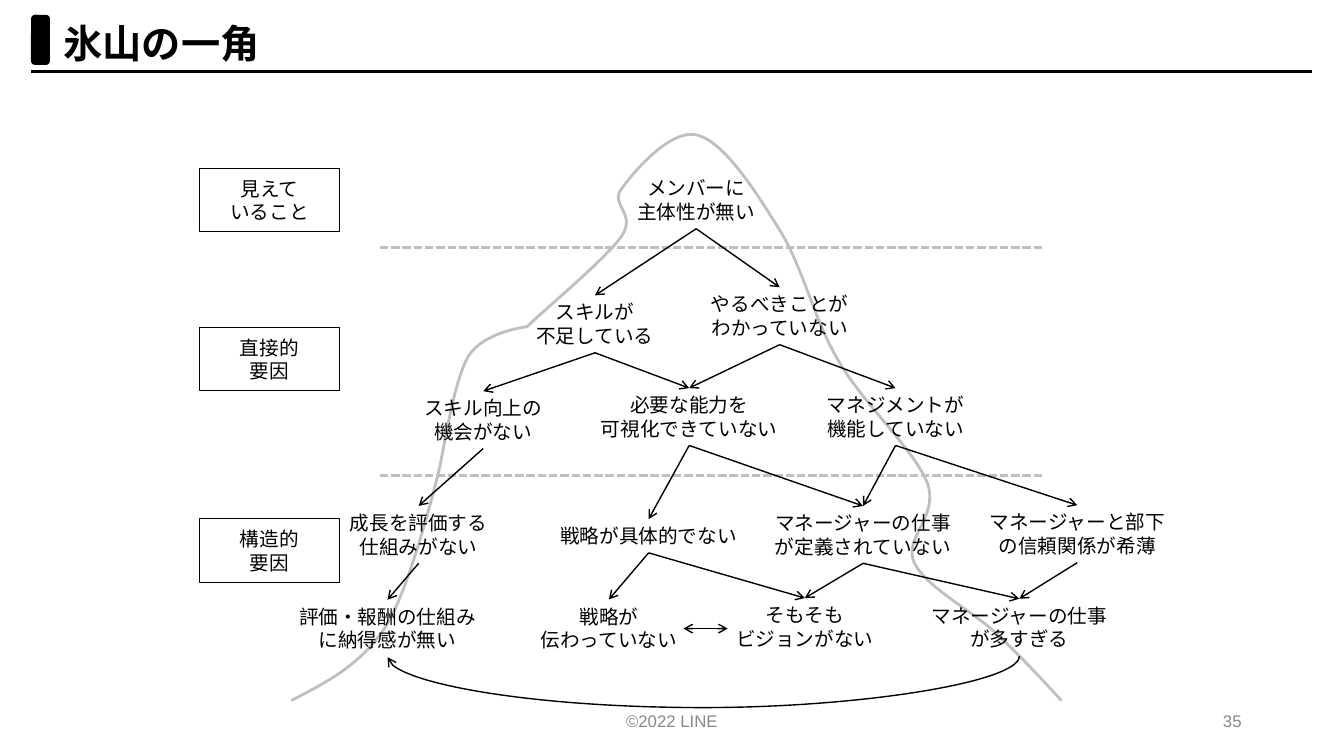
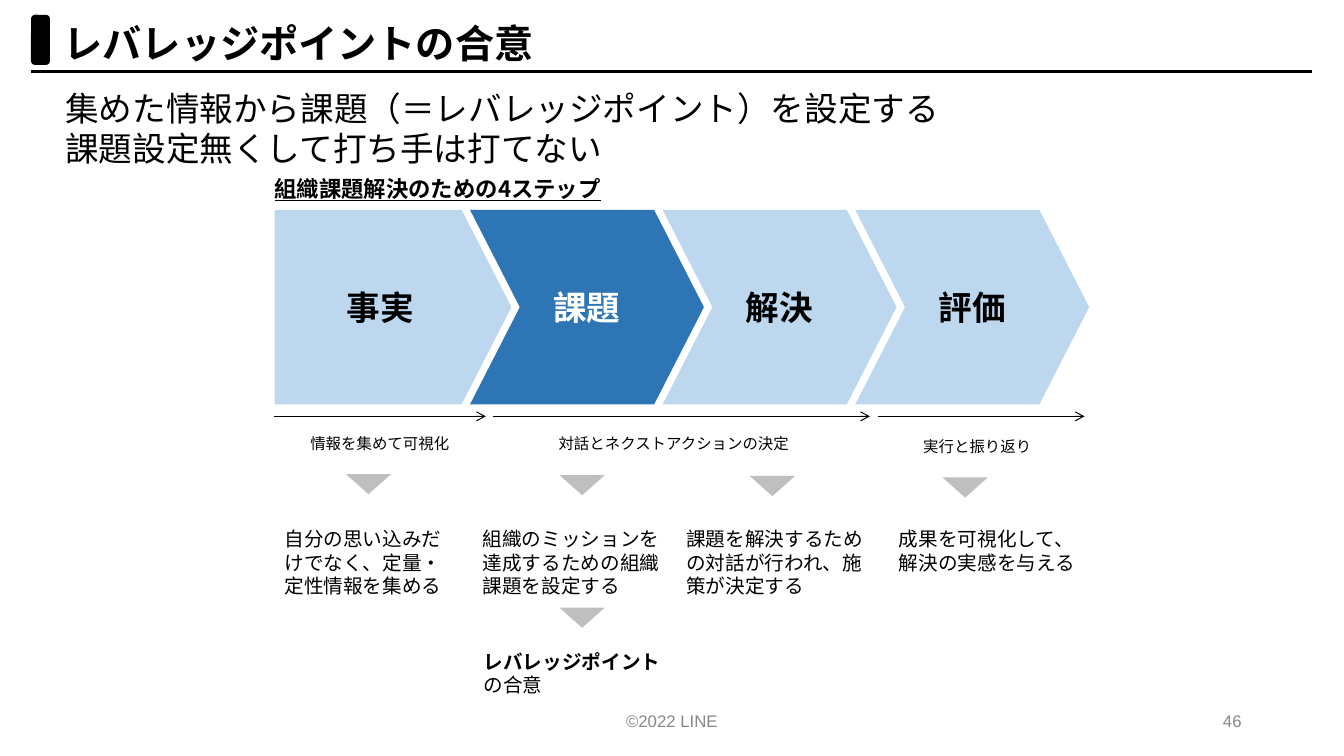
from dataclasses import dataclass, replace
from math import ceil

from lxml.etree import SubElement
from pptx import Presentation
from pptx.dml.color import RGBColor
from pptx.enum.dml import MSO_LINE_DASH_STYLE as Dash
from pptx.enum.shapes import MSO_CONNECTOR as Link, MSO_SHAPE as Shape
from pptx.enum.text import MSO_ANCHOR as Anchor, MSO_AUTO_SIZE as AutoSize, PP_ALIGN as Align
from pptx.oxml.ns import qn
from pptx.util import Pt


@dataclass(frozen=True)
class Style:
    size: float
    color: str = "000000"
    bold: bool = False
    underline: bool = False
    font: str = "Noto Sans CJK JP"


@dataclass(frozen=True)
class Theme:
    black: str = "000000"
    grey: str = "BFBFBF"
    pale_blue: str = "BDD7EE"
    blue: str = "2E75B6"
    title: Style = Style(28, bold=True)
    lead: Style = Style(24)
    stage: Style = Style(24, bold=True)
    active_stage: Style = Style(24, "FFFFFF", bold=True)
    heading: Style = Style(16, bold=True, underline=True)
    body: Style = Style(14)
    caption: Style = Style(11)
    footer: Style = Style(12, "888888", font="Arial")


THEME = Theme()
STRONG = replace(THEME.body, bold=True)

FACTORS = {
    "passive": (497.3, 122.4, ["メンバーに", "主体性が無い"]),
    "skill": (425, 211, ["スキルが", "不足している"]),
    "unclear": (556.9, 205.2, ["やるべきことが", "わかっていない"]),
    "growth": (345.2, 279.4, ["スキル向上の", "機会がない"]),
    "ability": (492.3, 277.2, ["必要な能力を", "可視化できていない"]),
    "management": (639.7, 277.2, ["マネジメントが", "機能していない"]),
    "appraisal": (299, 361.4, ["成長を評価する", "仕組みがない"]),
    "strategy": (463.3, 370.8, ["戦略が具体的でない"]),
    "role": (616.5, 361.4, ["マネージャーの仕事が定義されていない"]),
    "trust": (769.5, 360.9, ["マネージャーと部下の信頼関係が希薄"]),
    "reward": (276.8, 428.4, ["評価・報酬の仕組みに納得感が無い"]),
    "message": (435, 428.2, ["戦略が", "伝わっていない"]),
    "vision": (574.9, 427.2, ["そもそも", "ビジョンがない"]),
    "overload": (728.1, 427.7, ["マネージャーの仕事が多すぎる"]),
}
CAUSES = {
    "passive": ["skill", "unclear"],
    "skill": ["growth", "ability"],
    "unclear": ["ability", "management"],
    "growth": ["appraisal"],
    "ability": ["strategy", "role"],
    "management": ["role", "trust"],
    "appraisal": ["reward"],
    "strategy": ["message", "vision"],
    "role": ["vision", "overload"],
    "trust": ["overload"],
}
LEVELS = [
    (120.2, ["見えて", "いること"]),
    (233.8, ["直接的", "要因"]),
    (370.5, ["構造的", "要因"]),
]
ICEBERG_START = (208, 500.4)
ICEBERG_CORNERS = [(208, 95.8), (758.2, 500.4)]
ICEBERG_CURVES = [
    ((233.3, 487.4), (258.5, 474.5), (275.8, 447.1)),
    ((293, 420.5), (313.2, 337.7), (313.2, 337.7)),
    ((316.8, 323.3), (324, 271.4), (334.8, 254.2)),
    ((345.6, 236.9), (376.6, 233.3), (376.6, 233.3)),
    ((387.4, 222.5), (432.7, 185), (444.2, 168.5)),
    ((455, 151.9), (434.9, 146.2), (444.2, 134.6)),
    ((452.9, 122.4), (479.5, 91.4), (498.2, 96.5)),
    ((517.7, 101.5), (540.7, 138.2), (557.3, 164.9)),
    ((573.8, 191.5), (581, 227.5), (599, 257.8)),
    ((616.3, 288), (653, 321.1), (662.4, 344.9)),
    ((671, 369.4), (645.1, 383.8), (653, 401.8)),
    ((661.7, 419.8), (694.8, 436.3), (712.1, 452.9)),
    ((730.1, 469.4), (758.2, 500.4), (758.2, 500.4)),
]
STAGES = ["事実", "課題", "解決", "評価"]
PHASES = [
    (196, 347, 196.1, 306.7, 150.5, "情報を集めて可視化"),
    (352.1, 621.4, 384.5, 306.7, 193.7, "対話とネクストアクションの決定"),
    (627.1, 774.7, 621.4, 308.9, 153.4, "実行と振り返り"),
]
ACTIONS = [
    (196.1, 139.7, "自分の思い込みだけでなく、定量・定性情報を集める"),
    (337.7, 144, "組織のミッションを達成するための組織課題を設定する"),
    (483.1, 149, "課題を解決するための対話が行われ、施策が決定する"),
    (635, 146.2, "成果を可視化して、解決の実感を与える"),
]
POINTERS = [(247, 338.6), (399.6, 339.3), (535.5, 340), (673.2, 341), (399.6, 434)]


def rgb(color):
    return RGBColor.from_string(color)


def points(*lengths):
    return [Pt(length) for length in lengths]


def add_run(paragraph, text, style):
    run = paragraph.add_run()
    run.text = text
    font = run.font
    font.size = Pt(style.size)
    font.bold = style.bold
    font.underline = style.underline
    font.color.rgb = rgb(style.color)
    font.name = style.font
    SubElement(font._element, qn("a:ea")).set("typeface", style.font)


def write(frame, paragraphs, align, anchor):
    frame.word_wrap = True
    frame.vertical_anchor = anchor
    for index, runs in enumerate(paragraphs):
        paragraph = frame.add_paragraph() if index else frame.paragraphs[0]
        paragraph.alignment = align
        for text, style in runs:
            add_run(paragraph, text, style)


def plain(lines, style):
    return [[(line, style)] for line in lines]


def add_text(slide, box, paragraphs, align=Align.LEFT, anchor=Anchor.TOP):
    frame = slide.shapes.add_textbox(*points(*box)).text_frame
    write(frame, paragraphs, align, anchor)
    if anchor == Anchor.TOP:
        frame.auto_size = AutoSize.SHAPE_TO_FIT_TEXT


def add_block(slide, preset, box, fill=None, line=None, width=0.75, paragraphs=()):
    block = slide.shapes.add_shape(preset, *points(*box))
    block.shadow.inherit = False
    if fill:
        block.fill.solid()
        block.fill.fore_color.rgb = rgb(fill)
    else:
        block.fill.background()
    if line:
        block.line.color.rgb = rgb(line)
        block.line.width = Pt(width)
    else:
        block.line.fill.background()
    write(block.text_frame, paragraphs, Align.CENTER, Anchor.MIDDLE)
    return block


def add_line(slide, start, end, color=THEME.black, width=1, dash=None, ends=(), kind=Link.STRAIGHT):
    line = slide.shapes.add_connector(kind, *points(*start, *end))
    line.line.color.rgb = rgb(color)
    line.line.width = Pt(width)
    if dash:
        line.line.dash_style = dash
    for side in ends:
        SubElement(line.line._get_or_add_ln(), qn(f"a:{side}")).set("type", "arrow")
    SubElement(line._element.spPr, qn("a:effectLst"))
    return line


def add_arrow(slide, start, end, width=1):
    add_line(slide, start, end, width=width, ends=["tailEnd"])


def add_loop(slide, left, right, top, depth):
    rise = 0.72
    middle, half = (left + right) / 2, (right - left) / 2
    loop = add_line(slide, (middle + rise / 2, top + half), (middle - rise / 2, top - half),
                    ends=["headEnd"], kind=Link.CURVE)
    properties = loop._element.spPr
    properties.find(qn("a:xfrm")).set("rot", str(90 * 60000))
    bend = SubElement(properties.find(qn("a:prstGeom")).find(qn("a:avLst")), qn("a:gd"))
    bend.set("name", "adj1")
    bend.set("fmla", f"val {round(-depth / rise * 100000)}")


def add_iceberg(slide):
    builder = slide.shapes.build_freeform(*points(*ICEBERG_START))
    builder.add_line_segments([points(*corner) for corner in ICEBERG_CORNERS], close=False)
    iceberg = builder.convert_to_shape()
    outline = next(iceberg._element.iter(qn("a:path")))
    for segment in outline.findall(qn("a:lnTo")):
        outline.remove(segment)
    for curve in ICEBERG_CURVES:
        segment = SubElement(outline, qn("a:cubicBezTo"))
        for x, y in curve:
            point = SubElement(segment, qn("a:pt"))
            point.set("x", str(Pt(x) - iceberg.left))
            point.set("y", str(Pt(y) - iceberg.top))
    iceberg.shadow.inherit = False
    iceberg.fill.background()
    iceberg.line.color.rgb = rgb(THEME.grey)
    iceberg.line.width = Pt(2)


def add_page(deck, title, number):
    slide = deck.slides.add_slide(deck.slide_layouts[6])
    add_text(slide, (38.4, 10.1, 684.7, 41), plain([title], THEME.title))
    add_line(slide, (21.9, 51.1), (937.4, 51.1), width=2)
    add_block(slide, Shape.ROUNDED_RECTANGLE, (23.2, 11.6, 11.5, 33.8), THEME.black, THEME.black, 2)
    add_text(slide, (318, 500.4, 324, 28.8), plain(["©2022 LINE"], THEME.footer),
             Align.CENTER, Anchor.MIDDLE)
    add_text(slide, (678, 500.4, 216, 28.8), plain([str(number)], THEME.footer),
             Align.RIGHT, Anchor.MIDDLE)
    return slide


def factor_bottom(name):
    center, top, lines = FACTORS[name]
    rows = sum(ceil(len(line) / 9) for line in lines)
    return center, top + 16.9 * rows + 7.2


def build_iceberg_page(deck):
    slide = add_page(deck, "氷山の一角", 35)
    add_iceberg(slide)
    for waterline in (176.9, 339.8):
        add_line(slide, (271.4, waterline), (745.9, waterline), THEME.grey, 2, Dash.SQUARE_DOT)
    for name, (center, top, lines) in FACTORS.items():
        height = factor_bottom(name)[1] - top
        add_text(slide, (center - 73.8, top, 147.6, height), plain(lines, THEME.body), Align.CENTER)
    for result, causes in CAUSES.items():
        for cause in causes:
            add_arrow(slide, factor_bottom(result), FACTORS[cause][:2])
    add_line(slide, (488.2, 449), (519.8, 449), ends=["headEnd", "tailEnd"])
    add_loop(slide, FACTORS["reward"][0], FACTORS["overload"][0], 469.1, 36.6)
    for top, lines in LEVELS:
        add_block(slide, Shape.RECTANGLE, (142.6, top, 99.7, 45.4), line=THEME.black,
                  paragraphs=plain(lines, THEME.body))


def build_steps_page(deck):
    slide = add_page(deck, "レバレッジポイントの合意", 46)
    add_text(slide, (39.6, 59, 834.5, 65.5), plain(
        ["集めた情報から課題（＝レバレッジポイント）を設定する", "課題設定無くして打ち手は打てない"],
        THEME.lead))
    add_text(slide, (189.1, 121.6, 257, 26.6), plain(["組織課題解決のための4ステップ"], THEME.heading))
    for index, stage in enumerate(STAGES):
        active = stage == "課題"
        preset = Shape.CHEVRON if index else Shape.PENTAGON
        left, width = (335.7 + 137.6 * (index - 1), 167.1) if index else (196.1, 169.2)
        block = add_block(slide, preset, (left, 149.9, width, 139),
                          THEME.blue if active else THEME.pale_blue,
                          paragraphs=plain([stage], THEME.active_stage if active else THEME.stage))
        block.adjustments[0] = 0.256
    for start, end, left, top, width, caption in PHASES:
        add_arrow(slide, (start, 297.4), (end, 297.4), 0.75)
        add_text(slide, (left, top, width, 20.9), plain([caption], THEME.caption), Align.CENTER)
    for left, top in POINTERS:
        add_block(slide, Shape.ISOSCELES_TRIANGLE, (left, top, 32.4, 14.4), THEME.grey).rotation = 180
    for left, width, action in ACTIONS:
        add_text(slide, (left, 372.8, width, 58.3), plain([action], THEME.body))
    add_text(slide, (338.4, 460.6, 144, 41),
             [[("レバレッジポイント", STRONG), ("の合意", THEME.body)]])


def main():
    deck = Presentation()
    deck.slide_width, deck.slide_height = points(960, 540)
    build_iceberg_page(deck)
    build_steps_page(deck)
    deck.save("out.pptx")


if __name__ == "__main__":
    main()
